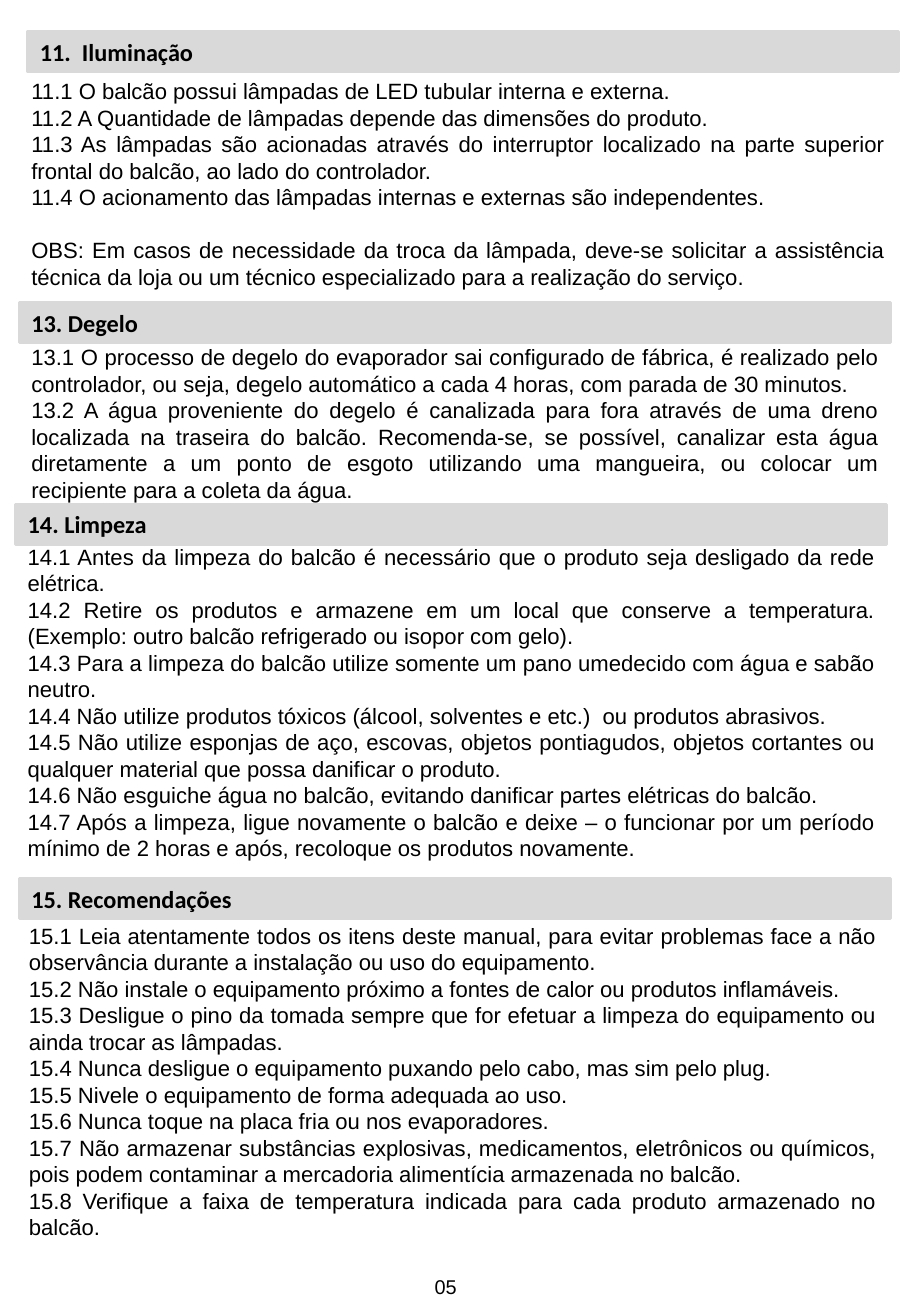
from dataclasses import dataclass

from pptx import Presentation
from pptx.dml.color import RGBColor
from pptx.enum.shapes import MSO_SHAPE as Shape
from pptx.enum.text import MSO_ANCHOR as Anchor, MSO_AUTO_SIZE as AutoSize, PP_ALIGN as Align
from pptx.util import Inches, Pt


@dataclass(frozen=True)
class Theme:
    """Colours, fonts and type sizes of the manual."""
    ink: RGBColor = RGBColor(0, 0, 0)
    band: RGBColor = RGBColor(0xD9, 0xD9, 0xD9)
    body_font: str = "Arial"
    heading_font: str = "Calibri"
    body_size: float = 13.1
    heading_size: float = 14.4
    number_size: float = 11.8
    note_gap: float = 15.7


def write_text(paragraph, text, *, font, size, color, bold=False, align=Align.LEFT, before=0):
    """Fill a paragraph with one formatted run."""
    paragraph.alignment = align
    if before:
        paragraph.space_before = Pt(before)
    run = paragraph.add_run()
    run.text = text
    run.font.name = font
    run.font.size = Pt(size)
    run.font.bold = bold
    run.font.color.rgb = color


class ManualPage:
    """Draws the elements of a manual page on one slide."""

    def __init__(self, slide, theme):
        """Keep the slide and its style."""
        self.slide = slide
        self.theme = theme

    def heading(self, text, left, top):
        """Add a grey band with a section title."""
        theme = self.theme
        shape = self.slide.shapes.add_shape(
            Shape.RECTANGLE, Inches(left), Inches(top), Inches(7.17), Inches(0.33))
        shape.shadow.inherit = False
        shape.fill.solid()
        shape.fill.fore_color.rgb = theme.band
        shape.line.color.rgb = theme.band
        shape.line.width = Pt(2)
        shape.text_frame.vertical_anchor = Anchor.MIDDLE
        write_text(shape.text_frame.paragraphs[0], text, font=theme.heading_font,
                   size=theme.heading_size, color=theme.ink, bold=True)

    def text_box(self, left, top, width, height):
        """Add a wrapping text box and return its frame."""
        box = self.slide.shapes.add_textbox(
            Inches(left), Inches(top), Inches(width), Inches(height))
        frame = box.text_frame
        frame.word_wrap = True
        frame.auto_size = AutoSize.SHAPE_TO_FIT_TEXT
        return frame

    def body(self, items, left, top, width, height):
        """Add justified items, setting a note apart from the numbered ones."""
        theme = self.theme
        frame = self.text_box(left, top, width, height)
        for index, item in enumerate(items):
            paragraph = frame.add_paragraph() if index else frame.paragraphs[0]
            write_text(paragraph, item, font=theme.body_font, size=theme.body_size,
                       color=theme.ink, align=Align.JUSTIFY,
                       before=theme.note_gap if item.startswith("OBS") else 0)

    def page_number(self, text):
        """Add the page number at the foot."""
        theme = self.theme
        frame = self.text_box(3.48, 10.44, 0.54, 0.3)
        write_text(frame.paragraphs[0], text, font=theme.body_font,
                   size=theme.number_size, color=theme.ink)


SECTIONS = [
    ("11.  Iluminação", (0.23, 0.26), (0.16, 0.59, 7.22, 1.86), [
        "11.1 O balcão possui lâmpadas de LED tubular interna e externa.",
        "11.2 A Quantidade de lâmpadas depende das dimensões do produto.",
        "11.3 As lâmpadas são acionadas através do interruptor localizado na parte superior "
        "frontal do balcão, ao lado do controlador.",
        "11.4 O acionamento das lâmpadas internas e externas são independentes.",
        "OBS: Em casos de necessidade da troca da lâmpada, deve-se solicitar a assistência "
        "técnica da loja ou um técnico especializado para a realização do serviço.",
    ]),
    ("13. Degelo", (0.16, 2.49), (0.16, 2.78, 7.17, 1.42), [
        "13.1 O processo de degelo do evaporador sai configurado de fábrica, é realizado pelo "
        "controlador, ou seja, degelo automático a cada 4 horas, com parada de 30 minutos.",
        "13.2 A água proveniente do degelo é canalizada para fora através de uma dreno "
        "localizada na traseira do balcão. Recomenda-se, se possível, canalizar esta água "
        "diretamente a um ponto de esgoto utilizando uma mangueira, ou colocar um "
        "recipiente para a coleta da água.",
    ]),
    ("14. Limpeza", (0.13, 4.15), (0.13, 4.42, 7.17, 2.75), [
        "14.1 Antes da limpeza do balcão é necessário que o produto seja desligado da rede "
        "elétrica.",
        "14.2 Retire os produtos e armazene em um local que conserve a temperatura. "
        "(Exemplo: outro balcão refrigerado ou isopor com gelo).",
        "14.3 Para a limpeza do balcão utilize somente um pano umedecido com água e sabão "
        "neutro.",
        "14.4 Não utilize produtos tóxicos (álcool, solventes e etc.)  ou produtos abrasivos.",
        "14.5 Não utilize esponjas de aço, escovas, objetos pontiagudos, objetos cortantes ou "
        "qualquer material que possa danificar o produto.",
        "14.6 Não esguiche água no balcão, evitando danificar partes elétricas do balcão.",
        "14.7 Após a limpeza, ligue novamente o balcão e deixe – o funcionar por um período "
        "mínimo de 2 horas e após, recoloque os produtos novamente.",
    ]),
    ("15. Recomendações", (0.16, 7.23), (0.14, 7.54, 7.17, 2.75), [
        "15.1 Leia atentamente todos os itens deste manual, para evitar problemas face a não "
        "observância durante a instalação ou uso do equipamento.",
        "15.2 Não instale o equipamento próximo a fontes de calor ou produtos inflamáveis.",
        "15.3 Desligue o pino da tomada sempre que for efetuar a limpeza do equipamento ou "
        "ainda trocar as lâmpadas.",
        "15.4 Nunca desligue o equipamento puxando pelo cabo, mas sim pelo plug.",
        "15.5 Nivele o equipamento de forma adequada ao uso.",
        "15.6 Nunca toque na placa fria ou nos evaporadores.",
        "15.7 Não armazenar substâncias explosivas, medicamentos, eletrônicos ou químicos, "
        "pois podem contaminar a mercadoria alimentícia armazenada no balcão.",
        "15.8 Verifique a faixa de temperatura indicada para cada produto armazenado no "
        "balcão.",
    ]),
]


def main():
    """Build the page and save it."""
    presentation = Presentation()
    presentation.slide_width = Inches(7.5)
    presentation.slide_height = Inches(10.83)
    slide = presentation.slides.add_slide(presentation.slide_layouts[6])
    page = ManualPage(slide, Theme())
    for title, heading_place, body_place, items in SECTIONS:
        page.heading(title, *heading_place)
        page.body(items, *body_place)
    page.page_number("05")
    presentation.save("out.pptx")


if __name__ == "__main__":
    main()
